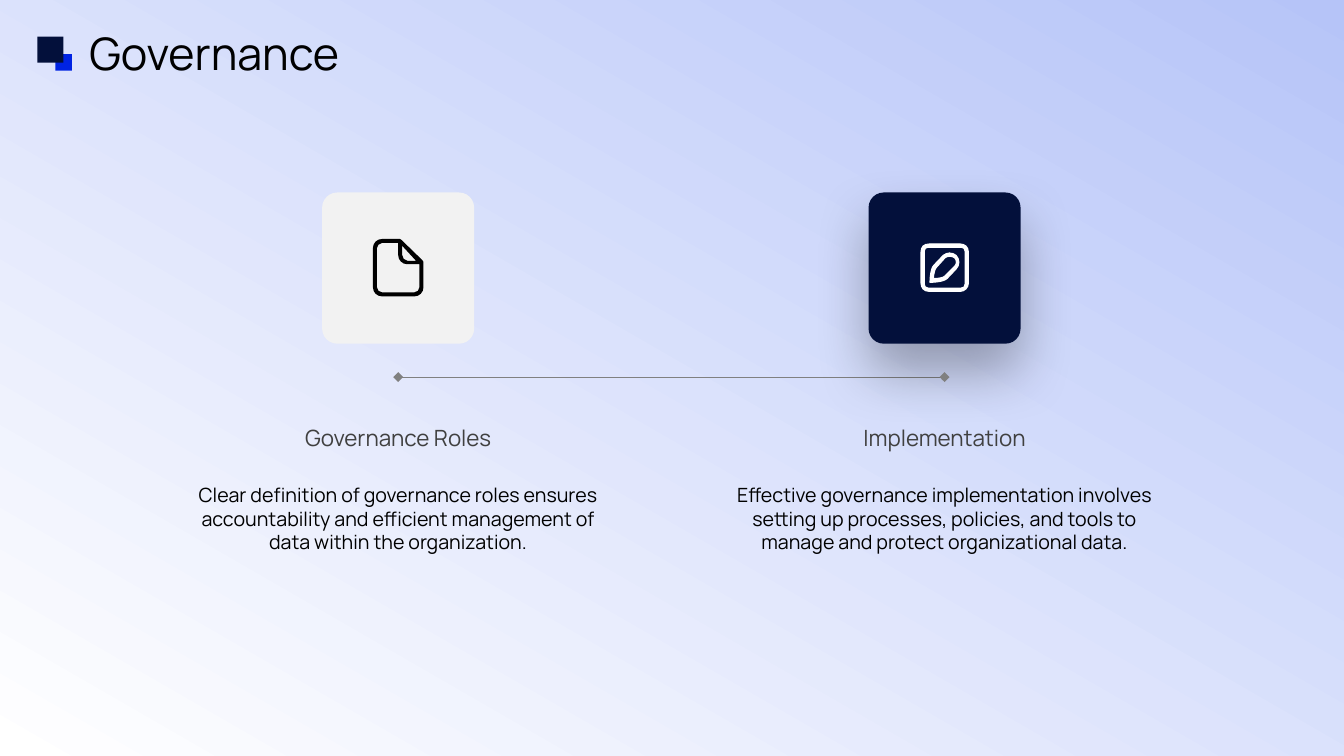
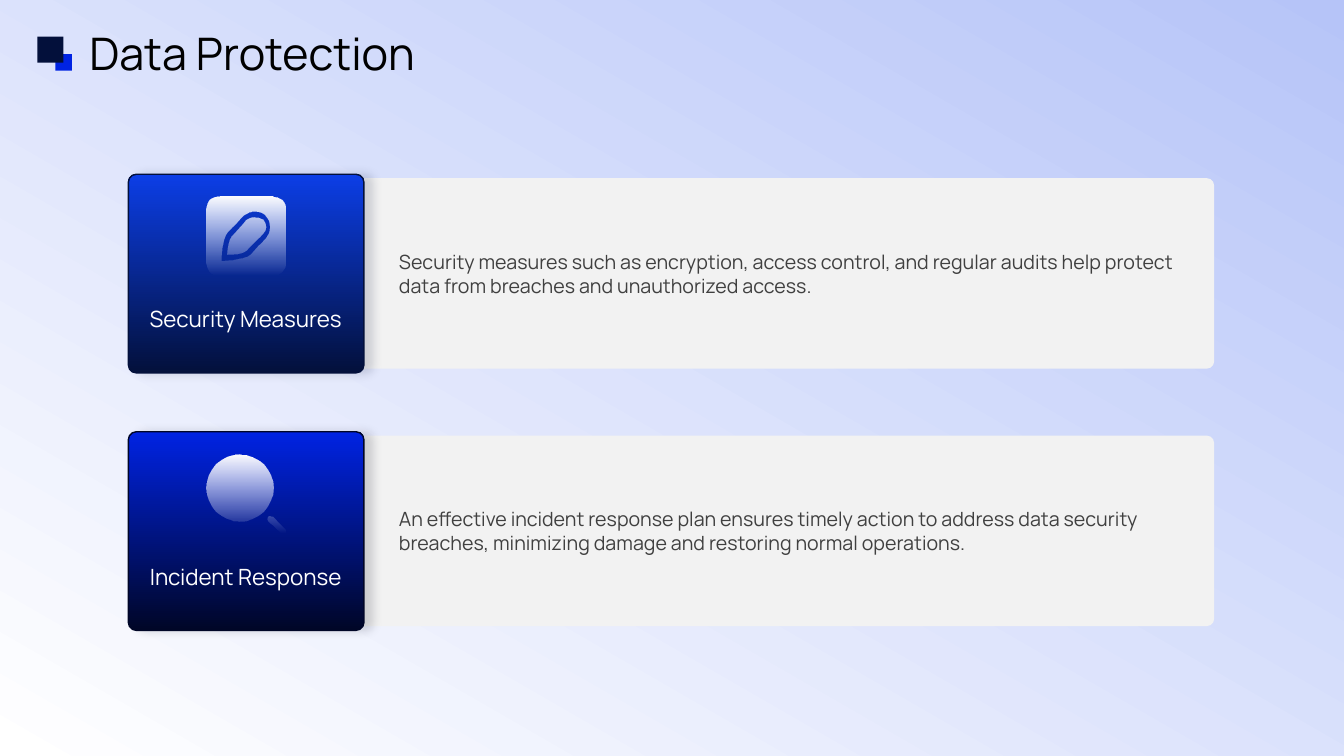
import lxml.etree
import pptx
import pptx.dml.color
import pptx.enum.shapes
import pptx.enum.text
import pptx.oxml.ns
import pptx.util

RGBColor = pptx.dml.color.RGBColor
Shapes = pptx.enum.shapes.MSO_SHAPE
Align = pptx.enum.text.PP_ALIGN
Anchor = pptx.enum.text.MSO_ANCHOR
qn = pptx.oxml.ns.qn

NAVY = RGBColor(0x03, 0x10, 0x3B)
MIDNIGHT = RGBColor(0x00, 0x06, 0x27)
ROYAL = RGBColor(0x0C, 0x3E, 0xE6)
BLUE = RGBColor(0x00, 0x23, 0xE3)
SKY = RGBColor(0xB6, 0xC4, 0xF8)
PERIWINKLE = RGBColor(0xAA, 0xBD, 0xFB)
WHITE = RGBColor(0xFF, 0xFF, 0xFF)
BLACK = RGBColor(0x00, 0x00, 0x00)
PALE = RGBColor(0xF2, 0xF2, 0xF2)
GRAY = RGBColor(0x80, 0x80, 0x80)
CHARCOAL = RGBColor(0x40, 0x40, 0x40)

FONT = "Manrope"
COLUMNS, ROWS = 160, 90
CELL = pptx.util.Inches(1) // 12

FRAME = [(17, 0), (83, 0), (92, 0, 100, 6, 100, 17), (100, 83),
         (100, 92, 92, 100, 83, 100), (17, 100), (6, 100, 0, 92, 0, 83),
         (0, 17), (0, 6, 6, 0, 17, 0)]
FRAME_INSIDE = [(15, 7), (85, 7), (90, 7, 93, 10, 93, 15), (93, 85),
                (93, 90, 90, 93, 85, 93), (15, 93), (10, 93, 7, 90, 7, 85),
                (7, 15), (7, 10, 10, 7, 15, 7)]
PENCIL = [(60, 19), (56, 19, 51, 21, 47, 24), (27, 45), (19, 53, 19, 81, 19, 81),
          (19, 81, 47, 81, 55, 73), (74, 53), (82, 45, 82, 32, 74, 24),
          (71, 21, 65, 19, 60, 19)]
PENCIL_INSIDE = [(60, 26), (64, 26, 68, 27, 71, 29), (76, 35, 76, 42, 71, 47),
                 (50, 68), (47, 71, 37, 73, 26, 73), (27, 63, 29, 53, 32, 50),
                 (51, 29), (54, 27, 57, 26, 60, 26)]
SHEET = [(47, 0), (16, 0), (7, 0, 0, 7, 0, 16), (0, 84), (0, 93, 7, 100, 16, 100),
         (72, 100), (81, 100, 88, 93, 88, 84), (88, 40), (88, 39, 87, 38, 86, 37),
         (50, 2), (49, 1, 48, 0, 47, 0)]
SHEET_INSIDE = [(81, 84), (81, 89, 77, 93, 72, 93), (16, 93), (11, 93, 7, 89, 7, 84),
                (7, 16), (7, 12, 11, 7, 16, 7), (44, 7), (44, 28),
                (44, 37, 51, 44, 60, 44), (81, 44)]
FOLD = [(51, 28), (51, 12), (75, 38), (60, 38), (55, 38, 51, 33, 51, 28)]
LENS = [(42, 0), (65, 0, 84, 19, 84, 42), (84, 65, 65, 84, 42, 84),
        (19, 84, 0, 65, 0, 42), (0, 19, 19, 0, 42, 0)]
HANDLE = [(80, 77), (81, 77, 82, 78, 83, 78), (99, 94), (100, 95, 100, 97, 99, 99),
          (97, 100, 96, 100, 94, 99), (77, 83), (76, 82, 76, 80, 77, 78),
          (78, 77, 79, 77, 80, 77)]


def place(slide, kind, x, y, width, height):
    box = [round(value * CELL) for value in (x, y, width, height)]
    if kind is None:
        return slide.shapes.add_textbox(*box)
    if not isinstance(kind, list):
        return slide.shapes.add_shape(kind, *box)
    builder = slide.shapes.build_freeform(*kind[0][0], scale=box[2] / 100)
    for contour in kind:
        if contour is not kind[0]:
            builder.move_to(*contour[0])
        builder.add_line_segments([step[-2:] for step in contour[1:]], close=True)
    outline = builder.convert_to_shape(box[0], box[1])
    steps = [step for contour in kind for step in contour[1:]]
    for segment, step in zip(list(outline.element.iter(qn("a:lnTo"))), steps):
        if len(step) == 6:
            curve = lxml.etree.Element(qn("a:cubicBezTo"))
            for k in (0, 2, 4):
                lxml.etree.SubElement(curve, qn("a:pt"), x=str(step[k]), y=str(step[k + 1]))
            segment.getparent().replace(segment, curve)
    return outline


def dress(shape, text="", size=14, color=BLACK, align=Align.LEFT, anchor=Anchor.MIDDLE,
          fill=None, angle=90, fade=False, line=None, weight=1, shadow=None):
    if fill is not None:
        shape.shadow.inherit = False
        if isinstance(fill, RGBColor):
            shape.fill.solid()
            shape.fill.fore_color.rgb = fill
        else:
            shape.fill.gradient()
            shape.fill.gradient_angle = angle
            for stop, shade in zip(shape.fill.gradient_stops, fill):
                stop.color.rgb = shade
        if fade:
            first_stop = shape.element.find(".//" + qn("a:srgbClr"))
            lxml.etree.SubElement(first_stop, qn("a:alpha"), val="0")
        if line is None:
            shape.line.fill.background()
        else:
            shape.line.color.rgb = line
            shape.line.width = pptx.util.Pt(weight)
    if shadow:
        tint, opacity, blur, distance, direction = shadow
        effects = shape.element.find(".//" + qn("a:effectLst"))
        outer = lxml.etree.SubElement(
            effects, qn("a:outerShdw"), blurRad=str(pptx.util.Pt(blur)),
            dist=str(pptx.util.Pt(distance)), dir=str(direction * 60000),
            algn="ctr", rotWithShape="0")
        tone = lxml.etree.SubElement(outer, qn("a:srgbClr"), val=tint)
        lxml.etree.SubElement(tone, qn("a:alpha"), val=str(opacity * 1000))
    if text:
        frame = shape.text_frame
        frame.word_wrap = True
        frame.auto_size = pptx.enum.text.MSO_AUTO_SIZE.NONE
        frame.margin_left = frame.margin_right = frame.margin_top = frame.margin_bottom = 0
        frame.vertical_anchor = anchor
        frame.text = text
        paragraph = frame.paragraphs[0]
        paragraph.alignment = align
        paragraph.font.name = FONT
        paragraph.font.size = pptx.util.Pt(size)
        paragraph.font.color.rgb = color


deck = pptx.Presentation()
deck.slide_width = COLUMNS * CELL
deck.slide_height = ROWS * CELL

background = deck.slide_master.background.fill
background.gradient()
background.gradient_angle = 300
for stop, shade in zip(background.gradient_stops, (PERIWINKLE, WHITE)):
    stop.color.rgb = shade

layout = deck.slide_layouts[5]
heading = layout.placeholders[0]
heading.left, heading.top, heading.width, heading.height = [
    round(value * CELL) for value in (10.63, 3.5, 142, 5.6)]

slides = []
for title in ("Governance", "Data Protection"):
    slide = deck.slides.add_slide(layout)
    backdrop = place(slide, Shapes.RECTANGLE, 0, 0, COLUMNS, ROWS)
    dress(backdrop, fill=(SKY, WHITE), angle=300)
    backdrop.element.spPr.find(qn("a:xfrm")).set("flipH", "1")
    slide.shapes.title.element.addprevious(backdrop.element)
    dress(slide.shapes.title, title, size=32)
    for x, y, side, shade in ((6.6, 6.45, 1.95, BLUE), (4.45, 4.35, 3.1, NAVY)):
        dress(place(slide, Shapes.RECTANGLE, x, y, side, side), fill=shade)
    slides.append(slide)
governance, protection = slides

CENTERS = (47.4, 112.45)
TIMELINE = 44.9
timeline = governance.shapes.add_connector(
    pptx.enum.shapes.MSO_CONNECTOR.STRAIGHT,
    *[round(value * CELL) for value in (CENTERS[0], TIMELINE, CENTERS[1], TIMELINE)])
timeline.line.color.rgb = GRAY
timeline.line.width = pptx.util.Pt(0.5)
lxml.etree.SubElement(timeline.element.spPr, qn("a:effectLst"))

topics = (
    ("Governance Roles",
     "Clear definition of governance roles ensures accountability and efficient "
     "management of data within the organization.",
     PALE, None, [SHEET, SHEET_INSIDE, FOLD], (44.4, 28.45, 6.84), BLACK, None),
    ("Implementation",
     "Effective governance implementation involves setting up processes, policies, "
     "and tools to manage and protect organizational data.",
     NAVY, ("000000", 30, 40, 20, 90),
     [FRAME, FRAME_INSIDE, PENCIL, PENCIL_INSIDE], (109.65, 29.05, 5.64), WHITE, WHITE),
)
for center, topic in zip(CENTERS, topics):
    name, detail, tile_fill, glow, icon, (icon_x, icon_y, icon_side), ink, edge = topic
    tile = place(governance, Shapes.ROUNDED_RECTANGLE, center - 9.05, 22.92, 18.1, 18)
    tile.adjustments[0] = 0.1
    dress(tile, fill=tile_fill, shadow=glow)
    dress(place(governance, icon, icon_x, icon_y, icon_side, icon_side),
          fill=ink, line=edge, weight=0.75)
    diamond = place(governance, Shapes.RECTANGLE, center - 0.42, TIMELINE - 0.42, 0.84, 0.84)
    diamond.rotation = 45
    dress(diamond, fill=GRAY)
    dress(place(governance, None, center - 26, 47.3, 52, 9.6), name,
          size=16, color=CHARCOAL, align=Align.CENTER)
    dress(place(governance, None, center - 26, 57.5, 52, 18.8), detail,
          align=Align.CENTER, anchor=Anchor.TOP)

measures = (
    ("Security Measures",
     "Security measures such as encryption, access control, and regular audits help "
     "protect data from breaches and unauthorized access.",
     (NAVY, ROYAL), "040E32", [FRAME, PENCIL, PENCIL_INSIDE]),
    ("Incident Response",
     "An effective incident response plan ensures timely action to address data "
     "security breaches, minimizing damage and restoring normal operations.",
     (MIDNIGHT, BLUE), "000314", [LENS, HANDLE]),
)
for row, (name, detail, shades, shadow_tint, icon) in enumerate(measures):
    top = 20.75 + 30.65 * row
    panel = place(protection, Shapes.ROUNDED_RECTANGLE, 15.28, top + 0.45, 129.28, 22.7)
    card = place(protection, Shapes.ROUNDED_RECTANGLE, 15.28, top, 28.05, 23.65)
    panel.adjustments[0] = card.adjustments[0] = 0.04
    dress(panel, fill=PALE)
    dress(card, fill=shades, line=shades[0], shadow=(shadow_tint, 14, 7, 6, 0))
    dress(place(protection, icon, 24.6, top + 2.7, 9.4, 9.4), fill=(WHITE, WHITE), fade=True)
    dress(place(protection, None, 16.9, top + 12.1, 24.7, 10.2), name,
          size=16, color=WHITE, align=Align.CENTER)
    dress(place(protection, None, 47.5, top + 1.65, 92.4, 20.3), detail, color=CHARCOAL)

deck.save("out.pptx")
